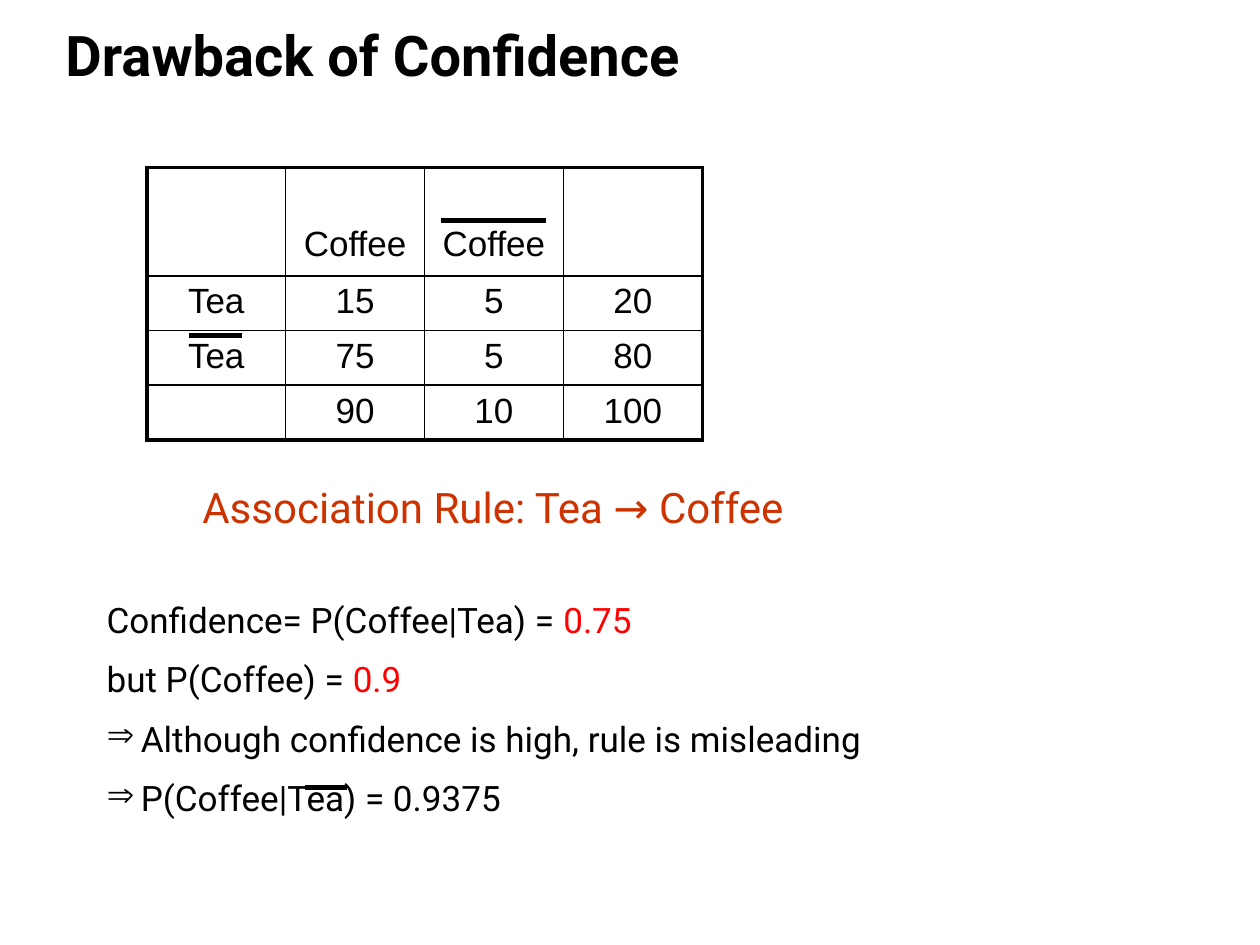
from lxml import etree
from pptx import Presentation
from pptx.dml.color import RGBColor
from pptx.enum.shapes import MSO_CONNECTOR
from pptx.enum.text import MSO_ANCHOR, PP_ALIGN
from pptx.oxml.ns import qn
from pptx.util import Cm, Pt

STRAIGHT = MSO_CONNECTOR.STRAIGHT
CENTER = PP_ALIGN.CENTER
TOP, BOTTOM = MSO_ANCHOR.TOP, MSO_ANCHOR.BOTTOM

BLACK = RGBColor(0x00, 0x00, 0x00)
RED = RGBColor(0xFF, 0x00, 0x00)
RUST = RGBColor(0xCC, 0x33, 0x00)


def add_span(para, text, color, **formats):
    span = para.add_run()
    span.text = text
    span.font.color.rgb = color
    for name, value in formats.items():
        setattr(span.font, name, value)


def add_border(cell, position, side, width):
    line = etree.Element(qn(f"a:ln{side}"), w=str(Pt(width)))
    fill = etree.SubElement(line, qn("a:solidFill"))
    etree.SubElement(fill, qn("a:srgbClr"), val=str(BLACK))
    cell._tc.get_or_add_tcPr().insert(position, line)


deck = Presentation()
deck.slide_width, deck.slide_height = Cm(25.4), Cm(19.05)
page = deck.slides.add_slide(deck.slide_layouts[6])

# Title
box = page.shapes.add_textbox(Cm(1.07), Cm(0.43), Cm(23), Cm(1.47))
box.text_frame.word_wrap = True
box.text_frame.vertical_anchor = BOTTOM
para = box.text_frame.paragraphs[0]
para.line_spacing = 1.12
add_span(para, "Drawback of Confidence", BLACK, name="Roboto", size=Pt(32), bold=True)

# Contingency table
COUNTS = [
    ["", "Coffee", "Coffee", ""],
    ["Tea", "15", "5", "20"],
    ["Tea", "75", "5", "80"],
    ["", "90", "10", "100"],
]
last = len(COUNTS) - 1
table = page.shapes.add_table(4, 4, Cm(2.96), Cm(3.38), Cm(11.2), Cm(5.5)).table
table.first_row = table.horz_banding = False
for column in table.columns:
    column.width = Cm(2.8)
for r, counts in enumerate(COUNTS):
    table.rows[r].height = Cm(1.1 if r else 2.18)
    for c, text in enumerate(counts):
        cell = table.cell(r, c)
        cell.fill.background()
        cell.vertical_anchor = TOP if r else BOTTOM
        if r == 0:
            cell.margin_bottom = Cm(0.25)
        if text:
            para = cell.text_frame.paragraphs[0]
            para.alignment = CENTER
            add_span(para, text, BLACK, name="Arial", size=Pt(20))
        outer_sides = {"L": c == 0, "R": c == last, "T": r == 0, "B": r == last}
        for position, (side, outer) in enumerate(outer_sides.items()):
            add_border(cell, position, side, 2.25 if outer else 1)

# Association rule and its confidence
LINES = [
    # space before, left margin, bullet, size, spans
    (0, 1.93, False, 24, [("Association Rule: Tea → Coffee", RUST)]),
    (38, 0, False, 20, [("Confidence= P(Coffee|Tea) = ", BLACK), ("0.75", RED)]),
    (10, 0, False, 20, [("but P(Coffee) = ", BLACK), ("0.9", RED)]),
    (10, 0.69, True, 20, [("Although confidence is high, rule is misleading", BLACK)]),
    (10, 0.69, True, 20, [("P(Coffee|Tea) = 0.9375", BLACK)]),
]
box = page.shapes.add_textbox(Cm(1.9), Cm(9.58), Cm(20.52), Cm(7.37))
frame = box.text_frame
frame.word_wrap = True
for number, (before, margin, bullet, size, spans) in enumerate(LINES):
    para = frame.add_paragraph() if number else frame.paragraphs[0]
    para.space_before = Pt(before)
    properties = para._p.get_or_add_pPr()
    properties.set("marL", str(Cm(margin)))
    if bullet:
        properties.set("indent", str(-Cm(margin)))
        color = etree.SubElement(properties, qn("a:buClr"))
        etree.SubElement(color, qn("a:srgbClr"), val=str(BLACK))
        etree.SubElement(properties, qn("a:buChar"), char="⇒")
    for text, color in spans:
        add_span(para, text, color, name="Roboto", size=Pt(size))

# Negation bars: left, right, height on the page
BARS = [(8.89, 11, 4.45), (3.81, 4.87, 6.77), (6.14, 6.99, 15.88)]
for left, right, y in BARS:
    bar = page.shapes.add_connector(STRAIGHT, Cm(left), Cm(y), Cm(right), Cm(y))
    bar.line.color.rgb = BLACK
    bar.line.width = Pt(3)
    etree.SubElement(bar._element.spPr, qn("a:effectLst"))

deck.save("out.pptx")
